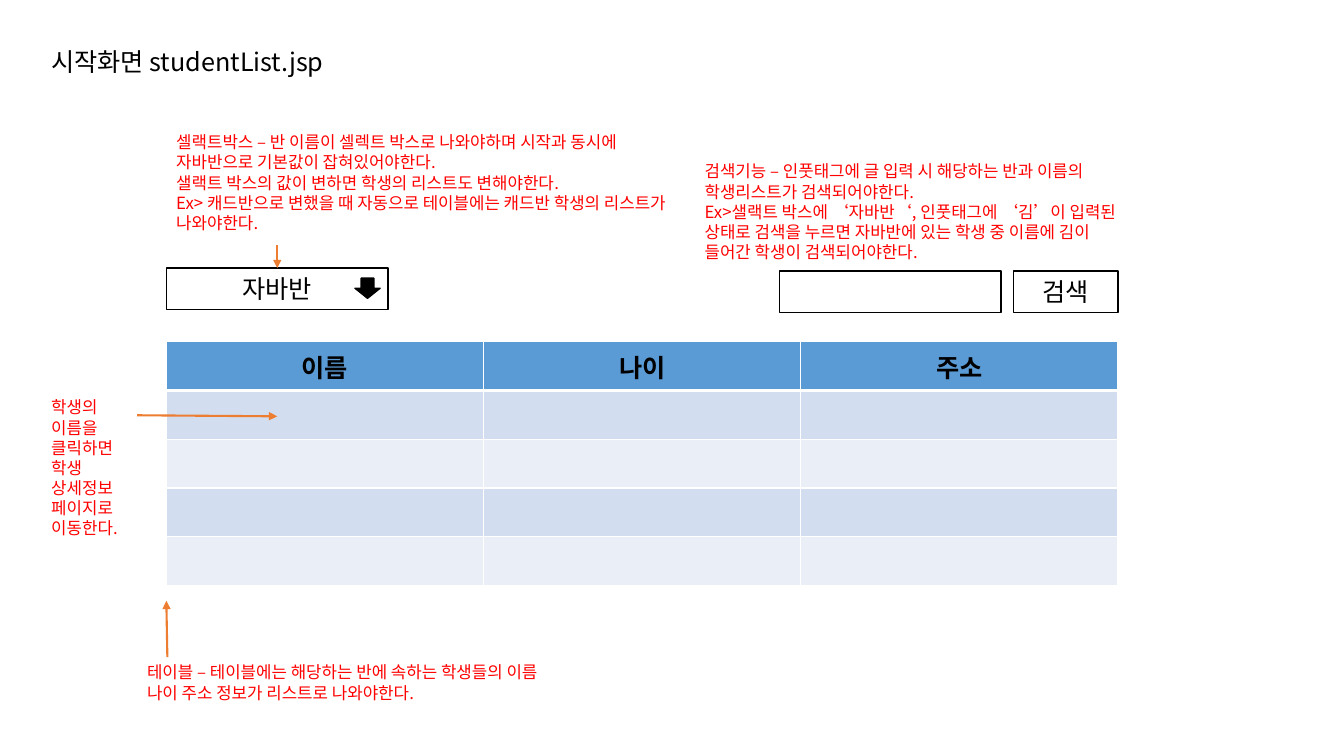
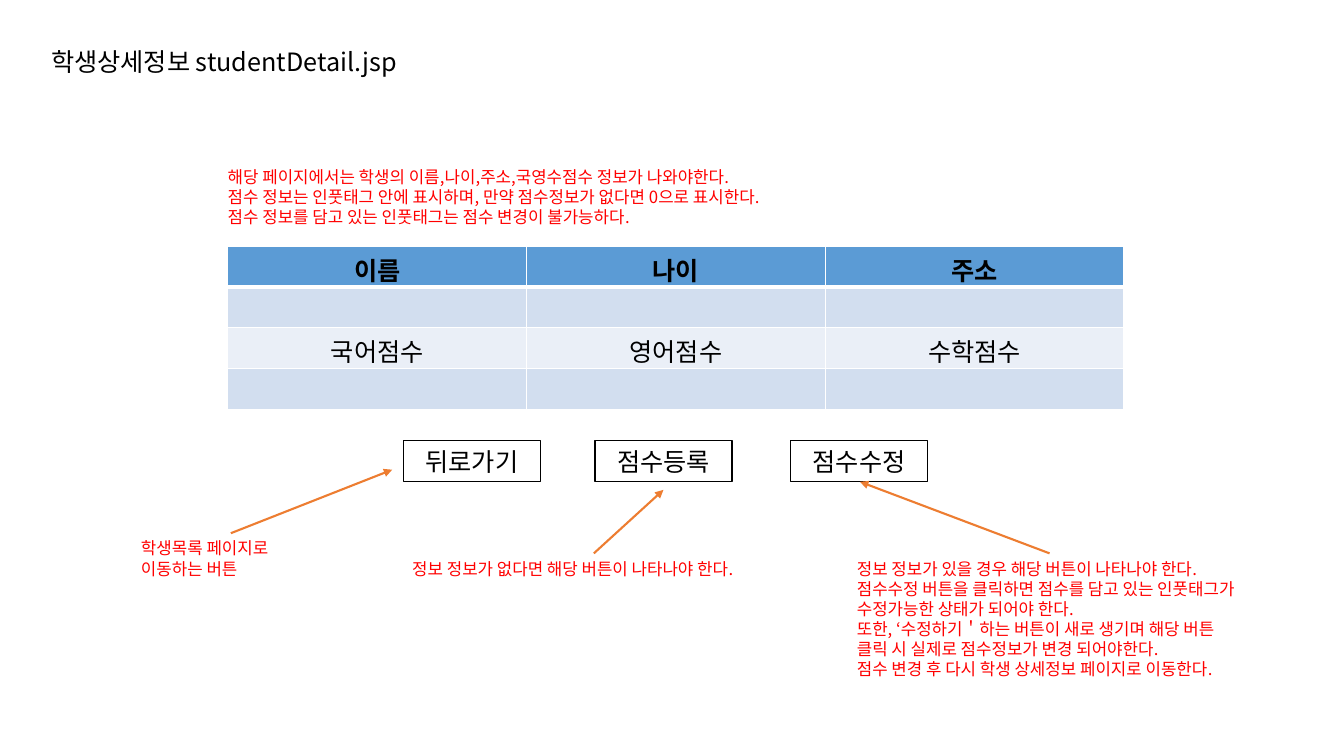
from lxml import etree
from pptx import Presentation
from pptx.dml.color import RGBColor
from pptx.enum.shapes import MSO_CONNECTOR, MSO_SHAPE
from pptx.enum.text import MSO_ANCHOR, PP_ALIGN
from pptx.oxml.ns import qn
from pptx.util import Inches, Pt

# Shared look
FONT = "Noto Sans CJK KR"
BLACK, RED, ORANGE, WHITE = "000000", "FF0000", "ED7D31", "FFFFFF"
HEADER, BAND_DARK, BAND_LIGHT = "5B9BD5", "D2DEEF", "EAEFF7"
COLUMNS = ["이름", "나이", "주소"]
EMPTY_ROW = ["", "", ""]

# What each screen shows; places are left, top, width, height
screens = [
    {
        "title": "시작화면 studentList.jsp",
        "table": (1.65, 3.39, 9.44, 2.42),
        "rows": [COLUMNS] + [EMPTY_ROW] * 4,
        "boxes": [
            ("자바반", 1.65, 2.66, 2.2),
            ("", 7.73, 2.69, 2.2),
            ("검색", 10.05, 2.69, 1.04),
        ],
        "dropdown_arrows": [(3.52, 2.76, 0.25, 0.2)],
        "notes": [
            ((1.65, 1.26, 5.13, 1.11), [
                "셀랙트박스 – 반 이름이 셀렉트 박스로 나와야하며 시작과 동시에 자바반으로 기본값이 잡혀있어야한다.",
                "샐랙트 박스의 값이 변하면 학생의 리스트도 변해야한다.",
                "Ex> 캐드반으로 변했을 때 자동으로 테이블에는 캐드반 학생의 리스트가 나와야한다.",
            ]),
            ((6.89, 1.55, 4.28, 1.11), [
                "검색기능 – 인풋태그에 글 입력 시 해당하는 반과 이름의 학생리스트가 검색되어야한다.",
                "Ex>샐랙트 박스에 ‘자바반‘, 인풋태그에 ‘김’이 입력된 상태로 검색을 누르면 "
                "자바반에 있는 학생 중 이름에 김이 들어간 학생이 검색되어야한다.",
            ]),
            ((0.41, 3.89, 1.08, 1.31), [
                "학생의 이름을 클릭하면 학생 상세정보 페이지로 이동한다.",
            ]),
            ((1.36, 6.52, 4.28, 0.5), [
                "테이블 – 테이블에는 해당하는 반에 속하는 학생들의 이름 나이 주소 정보가 리스트로 나와야한다.",
            ]),
        ],
        "pointers": [
            (2.75, 2.43, 2.75, 2.66),
            (1.66, 6.52, 1.65, 5.96),
            (1.36, 4.12, 2.75, 4.13),
        ],
    },
    {
        "title": "학생상세정보 studentDetail.jsp",
        "table": (2.26, 2.44, 8.89, 1.62),
        "rows": [COLUMNS, EMPTY_ROW, ["국어점수", "영어점수", "수학점수"], EMPTY_ROW],
        "boxes": [
            ("뒤로가기", 4, 4.37, 1.36),
            ("점수등록", 5.9, 4.37, 1.36),
            ("점수수정", 7.84, 4.37, 1.36),
        ],
        "dropdown_arrows": [],
        "notes": [
            ((2.16, 1.6, 8.85, 0.71), [
                "해당 페이지에서는 학생의 이름,나이,주소,국영수점수 정보가 나와야한다.",
                "점수 정보는 인풋태그 안에 표시하며, 만약 점수정보가 없다면 0으로 표시한다.",
                "점수 정보를 담고 있는 인풋태그는 점수 변경이 불가능하다.",
            ]),
            ((1.3, 5.29, 1.99, 0.5), ["학생목록 페이지로 이동하는 버튼"]),
            ((3.99, 5.49, 3.8, 0.3), ["정보 정보가 없다면 해당 버튼이 나타나야 한다."]),
            ((8.4, 5.49, 4.03, 1.51), [
                "정보 정보가 있을 경우 해당 버튼이 나타나야 한다.",
                "점수수정 버튼을 클릭하면 점수를 담고 있는 인풋태그가 수정가능한 상태가 되어야 한다.",
                "또한, ‘수정하기＇하는 버튼이 새로 생기며 해당 버튼 클릭 시 실제로 점수정보가 변경 되어야한다.",
                "점수 변경 후 다시 학생 상세정보 페이지로 이동한다.",
            ]),
        ],
        "pointers": [
            (2.29, 5.29, 3.89, 4.66),
            (5.89, 5.49, 6.58, 4.86),
            (10.41, 5.49, 8.53, 4.78),
        ],
    },
]


def color(code):
    return RGBColor.from_string(code)


def write(text_frame, text, size, code=BLACK, align=PP_ALIGN.LEFT, bold=False):
    text_frame.word_wrap = True
    text_frame.text = text
    for para in text_frame.paragraphs:
        para.alignment = align
        for span in para.runs:
            span.font.name = FONT
            span.font.size = Pt(size)
            span.font.bold = bold
            span.font.color.rgb = color(code)
            east_asian = etree.SubElement(span._r.get_or_add_rPr(), qn("a:ea"))
            east_asian.set("typeface", FONT)


deck = Presentation()
deck.slide_width = Inches(13.33)
deck.slide_height = Inches(7.5)

for screen in screens:
    page = deck.slides.add_slide(deck.slide_layouts[6])

    # Title and red notes
    texts = [((0.41, 0.41, 12.36, 0.4), screen["title"], 18, BLACK)]
    texts += [(place, "\n".join(lines), 12, RED) for place, lines in screen["notes"]]
    for place, text, size, code in texts:
        box = page.shapes.add_textbox(*map(Inches, place))
        write(box.text_frame, text, size, code)

    # Student table
    rows = screen["rows"]
    table = page.shapes.add_table(len(rows), len(COLUMNS), *map(Inches, screen["table"])).table
    for row_number, row in enumerate(rows):
        is_header = row_number == 0
        band = HEADER if is_header else BAND_DARK if row_number % 2 else BAND_LIGHT
        for column_number, text in enumerate(row):
            cell = table.cell(row_number, column_number)
            cell.vertical_anchor = MSO_ANCHOR.MIDDLE
            cell.fill.solid()
            cell.fill.fore_color.rgb = color(band)
            write(cell.text_frame, text, 18, align=PP_ALIGN.CENTER, bold=is_header)
            widths = {
                "lnL": 1,
                "lnR": 1,
                "lnT": 3 if row_number == 1 else 1,
                "lnB": 3 if is_header else 1,
            }
            for position, (side, width) in enumerate(widths.items()):
                border = etree.Element(qn(f"a:{side}"), w=str(Pt(width)))
                paint = etree.SubElement(border, qn("a:solidFill"))
                etree.SubElement(paint, qn("a:srgbClr"), val=WHITE)
                cell._tc.get_or_add_tcPr().insert(position, border)

    # Input fields and buttons
    for label, left, top, width in screen["boxes"]:
        field = page.shapes.add_shape(
            MSO_SHAPE.RECTANGLE, Inches(left), Inches(top), Inches(width), Inches(0.41))
        field.shadow.inherit = False
        field.fill.background()
        field.line.color.rgb = color(BLACK)
        field.line.width = Pt(1)
        field.text_frame.vertical_anchor = MSO_ANCHOR.MIDDLE
        write(field.text_frame, label, 18, align=PP_ALIGN.CENTER)

    # Arrow inside the select box
    for place in screen["dropdown_arrows"]:
        arrow = page.shapes.add_shape(MSO_SHAPE.DOWN_ARROW, *map(Inches, place))
        arrow.shadow.inherit = False
        arrow.fill.solid()
        arrow.fill.fore_color.rgb = color(BLACK)
        arrow.line.color.rgb = color(BLACK)
        arrow.line.width = Pt(1)

    # Pointers from notes to the parts they explain
    for ends in screen["pointers"]:
        pointer = page.shapes.add_connector(MSO_CONNECTOR.STRAIGHT, *map(Inches, ends))
        pointer.line.color.rgb = color(ORANGE)
        pointer.line.width = Pt(1.5)
        etree.SubElement(pointer.line._get_or_add_ln(), qn("a:tailEnd"), type="triangle")
        etree.SubElement(pointer._element.spPr, qn("a:effectLst"))

deck.save("out.pptx")
